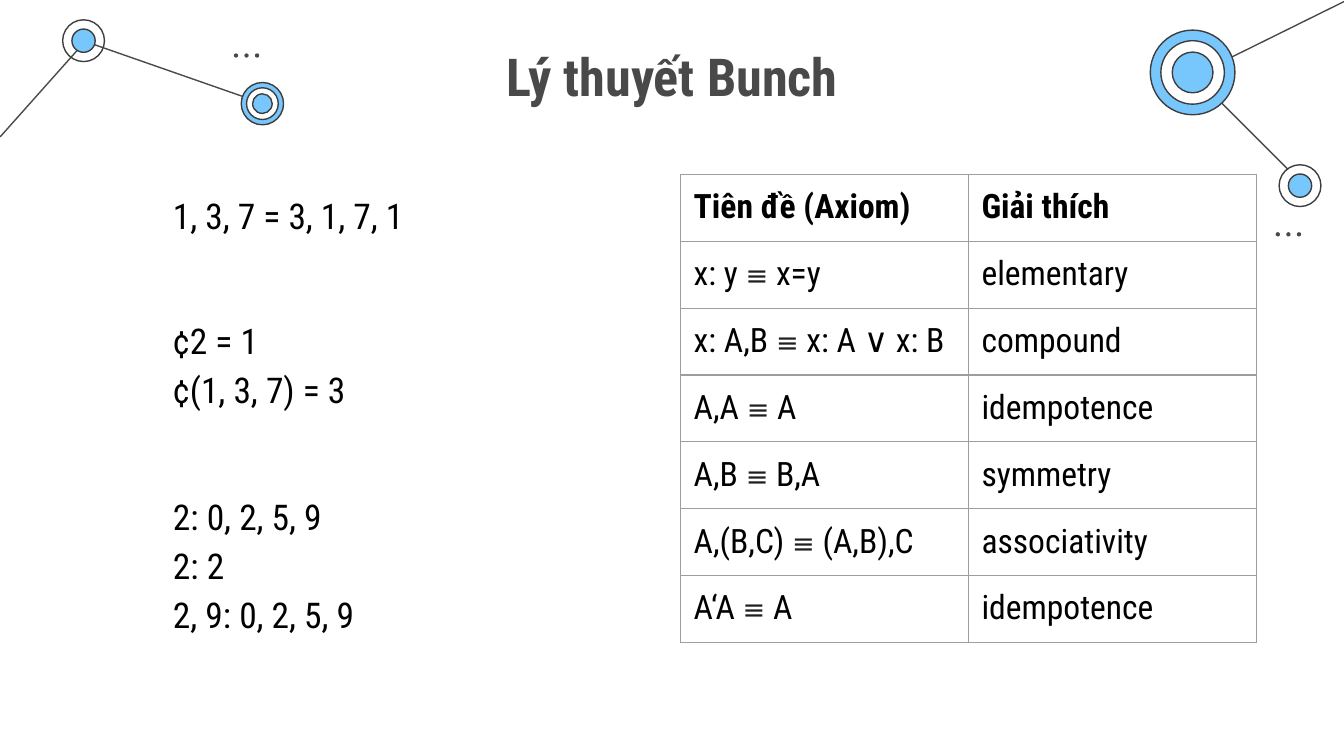
from lxml import etree
from pptx import Presentation
from pptx.dml.color import RGBColor
from pptx.enum.shapes import MSO_CONNECTOR, MSO_SHAPE
from pptx.enum.text import MSO_ANCHOR, PP_ALIGN
from pptx.oxml.ns import qn
from pptx.util import Cm, Pt

LINE = MSO_CONNECTOR.STRAIGHT
OVAL = MSO_SHAPE.OVAL
TOP = MSO_ANCHOR.TOP
LEFT, MID = PP_ALIGN.LEFT, PP_ALIGN.CENTER
FONT = "Roboto Condensed"
SKY, WHITE, BLACK = "77C6FC", "FFFFFF", "000000"
GREY, DARK, EDGE, SIGN = "494949", "3D3D3D", "9E9E9E", "1F1F1F"
PAD = 0.25

LINKS_L = [(1.63, 0.79, 4.98, 1.96), (0, 2.59, 1.63, 0.76)]
MARKS_L = [
    (1.58, 0.77, [(0.79, None), (0.44, SKY)]),
    (4.96, 1.96, [(0.8, SKY), (0.6, WHITE), (0.37, SKY)]),
]
LINKS_R = [(2.98, 3.43, 0.95, 1.4), (3.81, 0.03, 1.04, 1.4)]
MARKS_R = [
    (0.95, 1.37, [(1.6, SKY), (1.2, WHITE), (0.77, SKY)]),
    (2.98, 3.51, [(0.79, WHITE), (0.44, SKY)]),
]
NOTES = [
    (3.3, 1.27, ["1, 3, 7 = 3, 1, 7, 1"]),
    (5.66, 2.26, ["¢2 = 1", "¢(1, 3, 7) = 3"]),
    (8.99, 3.28, ["2: 0, 2, 5, 9", "2: 2", "2, 9: 0, 2, 5, 9"]),
]
ROWS = [
    ("Tiên đề (Axiom)", "Giải thích"),
    ("x: y ≡ x=y", "elementary"),
    ("x: A,B ≡ x: A ∨ x: B", "compound"),
    ("A,A ≡ A", "idempotence"),
    ("A,B ≡ B,A", "symmetry"),
    ("A,(B,C) ≡ (A,B),C", "associativity"),
    ("A‘A ≡ A", "idempotence"),
]


def tint(code):
    return RGBColor.from_string(code)


def write(frame, lines, size=18, color=BLACK, bold=False, align=LEFT, space=None):
    for i, line in enumerate(lines):
        para = frame.paragraphs[0] if i == 0 else frame.add_paragraph()
        para.alignment = align
        if space:
            para.line_spacing = space
        for part in filter(None, line.partition("≡")):
            sign = part == "≡"
            run = para.add_run()
            run.text = part
            run.font.name = FONT
            run.font.size = Pt(14.5 if sign else size)
            run.font.bold = bold
            run.font.color.rgb = tint(SIGN if sign else color)


def label(slide, box, lines, **form):
    frame = slide.shapes.add_textbox(*map(Cm, box)).text_frame
    frame.word_wrap = True
    frame.vertical_anchor = TOP
    frame.margin_left = frame.margin_right = Cm(PAD)
    frame.margin_top = frame.margin_bottom = Cm(PAD)
    write(frame, lines, **form)


def disc(slide, x, y, size, fill, edge=None):
    spot = slide.shapes.add_shape(
        OVAL, Cm(x - size / 2), Cm(y - size / 2), Cm(size), Cm(size))
    spot.shadow.inherit = False
    if fill:
        spot.fill.solid()
        spot.fill.fore_color.rgb = tint(fill)
    else:
        spot.fill.background()
    if edge:
        spot.line.color.rgb = tint(edge)
        spot.line.width = Pt(0.75)
    else:
        spot.line.fill.background()


def link(slide, *ends):
    rod = slide.shapes.add_connector(LINE, *map(Cm, ends))
    rod.line.color.rgb = tint(GREY)
    rod.line.width = Pt(0.75)
    etree.SubElement(rod._element.spPr, qn("a:effectLst"))


def corner(slide, box, links, marks, dots):
    left, top = box
    for x1, y1, x2, y2 in links:
        link(slide, left + x1, top + y1, left + x2, top + y2)
    for x, y, rings in marks:
        for size, fill in rings:
            disc(slide, left + x, top + y, size, fill, DARK)
    x, y = dots
    for i in range(3):
        disc(slide, left + x + i * 0.2, top + y, 0.08, GREY)


def notes(slide, box):
    left, top, wide = box
    for y, high, lines in NOTES:
        label(slide, (left, top + y, wide, high), lines, size=19, space=1.15)


def border(cell):
    props = cell._tc.get_or_add_tcPr()
    for i, side in enumerate(("lnL", "lnR", "lnT", "lnB")):
        edge = etree.Element(qn("a:" + side), w=str(Pt(0.75)))
        fill = etree.SubElement(edge, qn("a:solidFill"))
        etree.SubElement(fill, qn("a:srgbClr"), val=EDGE)
        props.insert(i, edge)


def axioms(slide, box):
    grid = slide.shapes.add_table(len(ROWS), len(ROWS[0]), *map(Cm, box)).table
    grid.first_row = grid.horz_banding = False
    for i, row in enumerate(ROWS):
        for j, text in enumerate(row):
            cell = grid.cell(i, j)
            cell.fill.background()
            cell.margin_left = cell.margin_right = Cm(PAD)
            cell.margin_top = cell.margin_bottom = Cm(PAD)
            write(cell.text_frame, [text], bold=i == 0)
            border(cell)


def main():
    deck = Presentation()
    deck.slide_width, deck.slide_height = Cm(25.4), Cm(14.29)
    slide = deck.slides.add_slide(deck.slide_layouts[6])
    corner(slide, (0, 0), LINKS_L, MARKS_L, (4.46, 1.05))
    corner(slide, (21.59, 0), LINKS_R, MARKS_R, (2.56, 4.43))
    label(slide, (2, 0.58, 21.4, 1.6), ["Lý thuyết Bunch"],
          size=28, color=GREY, bold=True, align=MID)
    notes(slide, (3.02, 0, 22.38))
    axioms(slide, (12.86, 3.3, 10.88, 8.76))
    deck.save("out.pptx")


if __name__ == "__main__":
    main()
